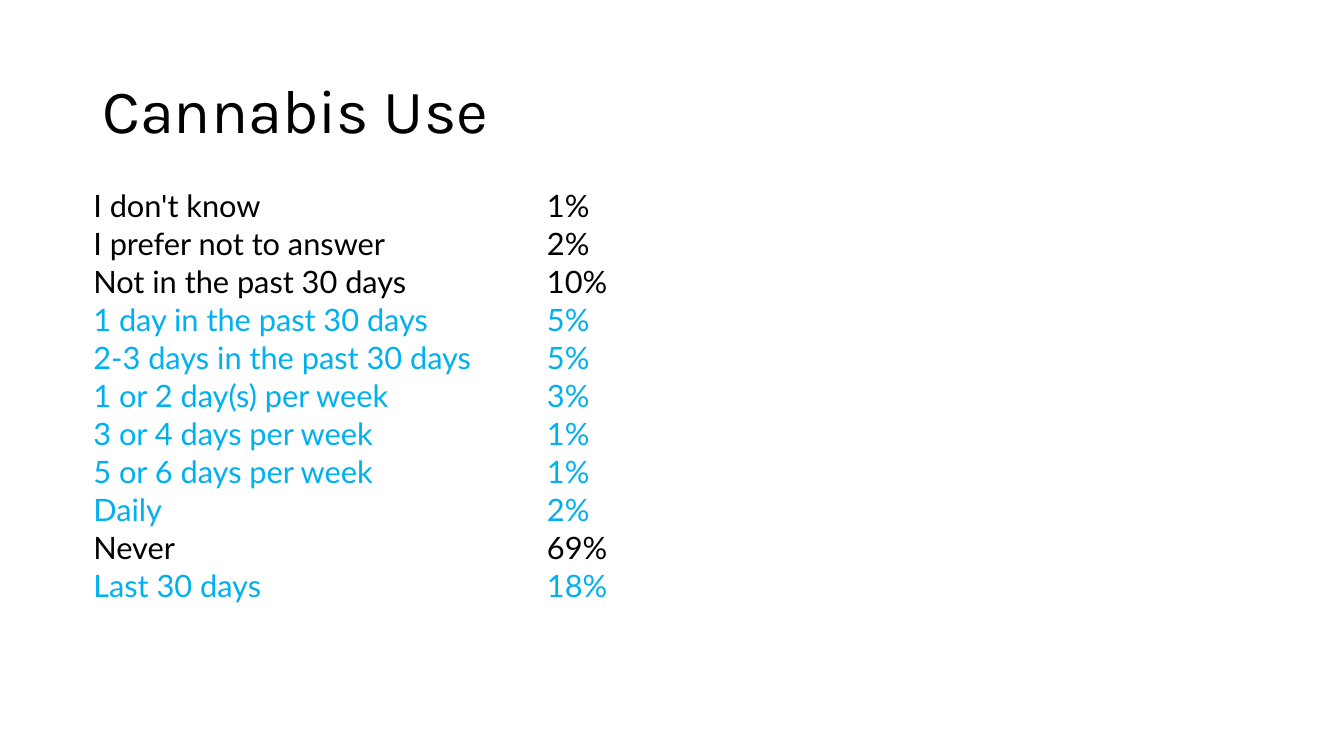
from lxml.etree import SubElement
from pptx import Presentation
from pptx.dml.color import RGBColor
from pptx.enum.text import MSO_ANCHOR as Anchor
from pptx.oxml.ns import qn
from pptx.util import Pt

COLORS = {"text": "000000", "recent": "00B0F0", "border": "FFFFFF"}
ANSWERS = [
    ("I don't know", "1%", "text"),
    ("I prefer not to answer", "2%", "text"),
    ("Not in the past 30 days", "10%", "text"),
    ("1 day in the past 30 days", "5%", "recent"),
    ("2-3 days in the past 30 days", "5%", "recent"),
    ("1 or 2 day(s) per week", "3%", "recent"),
    ("3 or 4 days per week", "1%", "recent"),
    ("5 or 6 days per week", "1%", "recent"),
    ("Daily", "2%", "recent"),
    ("Never", "69%", "text"),
    ("Last 30 days", "18%", "recent"),
]


def apply_format(target, values):
    for name, value in values.items():
        setattr(target, name, value)


class SlideBuilder:
    title_font = {"name": "Karla", "size": Pt(44)}
    table_font = {"name": "Lato", "size": Pt(22)}
    cell_format = {
        "margin_left": Pt(0.7), "margin_right": Pt(0.7),
        "margin_top": Pt(0.7), "margin_bottom": 0,
        "vertical_anchor": Anchor.BOTTOM,
    }

    def __init__(self, page):
        self.page = page

    def add_text(self, frame, text, font, color):
        para = frame.paragraphs[0]
        span = para.add_run()
        span.text = text
        apply_format(span.font, font)
        span.font.color.rgb = RGBColor.from_string(COLORS[color])
        return para

    def add_title(self, text, left, top, width, height):
        box = self.page.shapes.add_textbox(Pt(left), Pt(top), Pt(width), Pt(height))
        apply_format(box.text_frame, {"word_wrap": True, "vertical_anchor": Anchor.MIDDLE})
        para = self.add_text(box.text_frame, text, self.title_font, "text")
        para.line_spacing = 0.9

    def add_border(self, cell):
        properties = cell._tc.get_or_add_tcPr()
        for side in ("a:lnL", "a:lnR", "a:lnT", "a:lnB"):
            line = SubElement(properties, qn(side), w=str(Pt(1)))
            fill = SubElement(line, qn("a:solidFill"))
            SubElement(fill, qn("a:srgbClr"), val=COLORS["border"])

    def add_answers(self, answers, left, top, widths, row_height):
        frame = self.page.shapes.add_table(
            len(answers), len(widths), Pt(left), Pt(top),
            Pt(sum(widths)), Pt(row_height * len(answers)))
        table = frame.table
        apply_format(table, {"first_row": False, "horz_banding": False})
        for column, width in zip(table.columns, widths):
            column.width = Pt(width)
        for row, (*texts, color) in zip(table.rows, answers):
            row.height = Pt(row_height)
            for cell, text in zip(row.cells, texts):
                apply_format(cell, self.cell_format)
                self.add_border(cell)
                cell.fill.background()
                self.add_text(cell.text_frame, text, self.table_font, color)


def main():
    deck = Presentation()
    apply_format(deck, {"slide_width": Pt(960), "slide_height": Pt(540)})
    builder = SlideBuilder(deck.slides.add_slide(deck.slide_layouts[6]))
    builder.add_title("Cannabis Use", 66, 28.75, 828, 104.4)
    builder.add_answers(ANSWERS, 66, 133.2, (324, 106), 26.9)
    deck.save("out.pptx")


if __name__ == "__main__":
    main()
